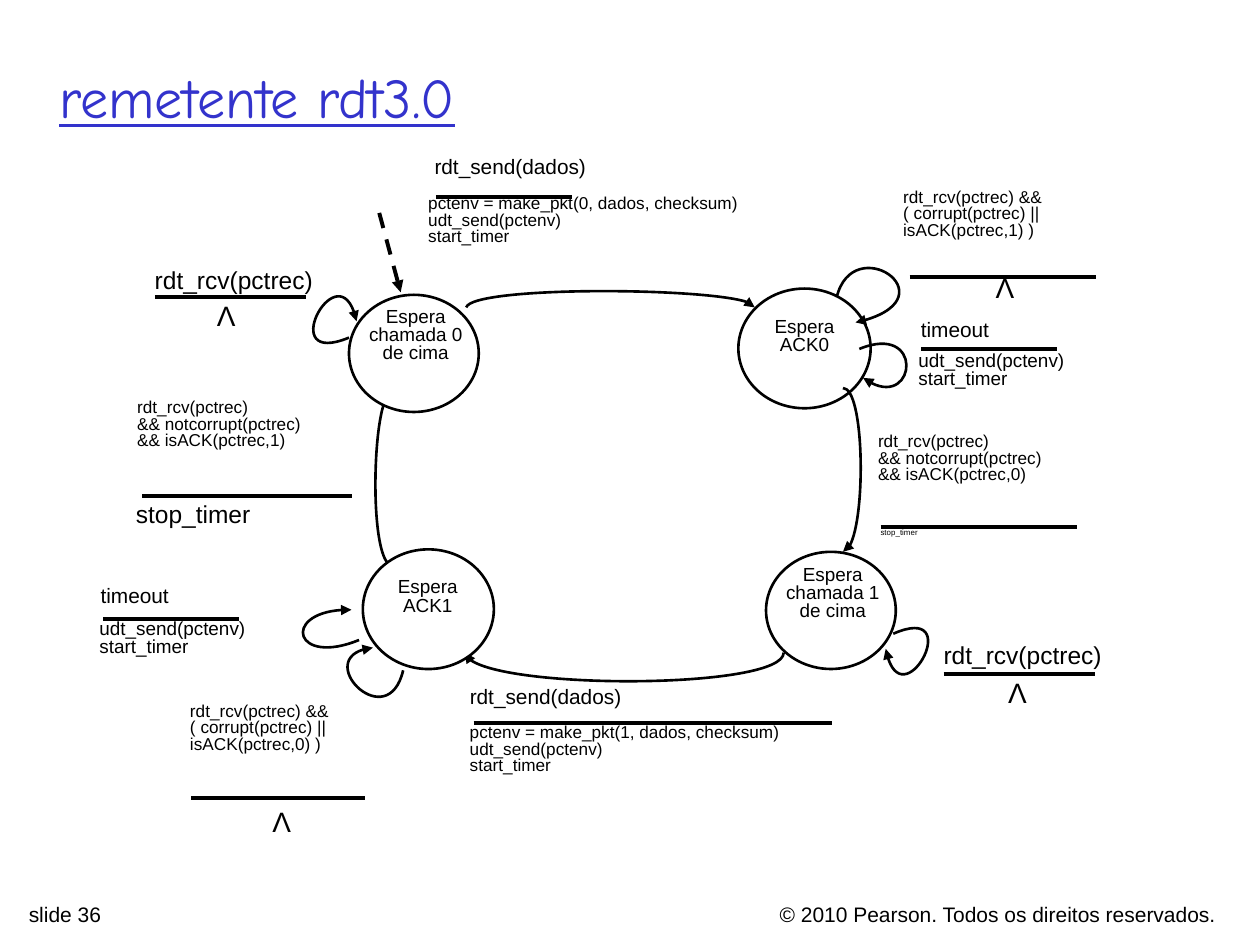
from dataclasses import dataclass

from lxml import etree
from pptx import Presentation
from pptx import util as u
from pptx.dml.color import RGBColor
from pptx.enum import dml, shapes, text
from pptx.oxml.ns import qn

EMU_PER_PX = 9144  # 100 px to the inch


@dataclass(frozen=True)
class Theme:
    font: str = "Arial"
    title_font: str = "Comic Neue"
    ink: RGBColor = RGBColor(0x00, 0x00, 0x00)
    paper: RGBColor = RGBColor(0xFF, 0xFF, 0xFF)
    title: RGBColor = RGBColor(0x33, 0x33, 0xCC)
    title_size: float = 32
    thin: float = 1.5
    thick: float = 2.25


THEME = Theme()

# Text style: size in points, line spacing
STYLES = {
    "condition": (9.8, 0.8),
    "action": (10.8, 0.8),
    "event": (11.9, 0.9),
    "large": (14, None),
    "tiny": (4.5, 0.8),
    "lambda": (16, None),
    "footer": (12, None),
}

TITLE = ("remetente rdt3.0", (37, 27, 500, 98))

# State: ellipse box, text box, text
RIGHT_STATES = [
    ((586, 229, 105, 95), (596, 248, 85, 49), "Espera\vACK0"),
    ((608, 438, 103, 93), (596, 445, 130, 67), "Espera\vchamada 1\vde cima"),
]
LEFT_STATES = [
    ((277, 234, 103, 93), (265, 240, 130, 67), "Espera\vchamada 0\vde cima"),
    ((288, 436, 104, 95), (298, 455, 83, 49), "Espera\vACK1"),
]

# Curve: start, two control points, arrow tip
TRANSITIONS = [
    [(370, 244), (375, 227), (599, 228), (599, 244)],
    [(669, 308), (686, 308), (688, 435), (669, 438)],
    [(622, 518), (622, 547), (374, 548), (369, 518)],
    [(311, 449), (294, 446), (295, 312), (311, 312)],
]
LOOPS = [
    [(664, 236), (677, 183), (759, 238), (679, 256)],
    [(682, 277), (733, 256), (727, 330), (685, 300)],
    [(709, 503), (766, 478), (715, 576), (703, 515)],
    [(320, 532), (308, 583), (244, 520), (296, 514)],
    [(285, 508), (234, 529), (222, 483), (279, 484)],
    [(277, 268), (219, 292), (270, 195), (283, 255)],
]

START_ARROW = ((301, 169), (318, 232))

# Rule between event and action: left, right, y
RULES = [
    (346, 454, 156), (722, 870, 220), (731, 839, 277), (699, 855, 418),
    (749, 869, 535), (376, 660, 574), (152, 290, 633), (82, 190, 491),
    (113, 279, 394), (123, 243, 236),
]

# Label: style, box, lines
LABELS = [
    ("event", (335, 119, 189, 31), ["rdt_send(dados)"]),
    ("condition", (330, 151, 422, 61),
     ["pctenv = make_pkt(0, dados, checksum)", "udt_send(pctenv)", "start_timer"]),
    ("condition", (707, 146, 186, 62),
     ["rdt_rcv(pctrec) &&", "( corrupt(pctrec) ||", "isACK(pctrec,1) )"]),
    ("event", (721, 249, 122, 31), ["timeout"]),
    ("action", (719, 275, 231, 47), ["udt_send(pctenv)", "start_timer"]),
    ("condition", (687, 340, 235, 62),
     ["rdt_rcv(pctrec)", "&& notcorrupt(pctrec)", "&& isACK(pctrec,0)"]),
    ("tiny", (689, 415, 166, 20), ["stop_timer"]),
    ("large", (739, 503, 156, 63), ["rdt_rcv(pctrec)"]),
    ("event", (363, 540, 189, 31), ["rdt_send(dados)"]),
    ("condition", (363, 571, 377, 60),
     ["pctenv = make_pkt(1, dados, checksum)", "udt_send(pctenv)", "start_timer"]),
    ("condition", (141, 554, 177, 62),
     ["rdt_rcv(pctrec) &&", "( corrupt(pctrec) ||", "isACK(pctrec,0) )"]),
    ("event", (70, 460, 122, 31), ["timeout"]),
    ("action", (69, 488, 199, 47), ["udt_send(pctenv)", "start_timer"]),
    ("condition", (99, 313, 209, 62),
     ["rdt_rcv(pctrec)", "&& notcorrupt(pctrec)", "&& isACK(pctrec,1)"]),
    ("large", (98, 391, 166, 44), ["stop_timer"]),
    ("large", (113, 205, 156, 62), ["rdt_rcv(pctrec)"]),
]
LAMBDAS = [(162, 232), (780, 210), (790, 531), (206, 634)]
LAMBDA_SIZE = (35, 37)

SLIDE_NUMBER = ("slide 36", (13, 711, 352, 23))
COPYRIGHT = ("© 2010 Pearson. Todos os direitos reservados.", (464, 711, 511, 24))


def px(*lengths):
    return [u.Emu(length * EMU_PER_PX) for length in lengths]


def set_line(shape, width):
    shape.line.color.rgb = THEME.ink
    shape.line.width = u.Pt(width)


def add_arrowhead(shape):
    line = shape.line._get_or_add_ln()
    etree.SubElement(line, qn("a:tailEnd"), type="triangle")


def add_label(slide, style, box, lines, align=text.PP_ALIGN.LEFT, wrap=True):
    size, spacing = STYLES[style]
    frame = slide.shapes.add_textbox(*px(*box)).text_frame
    frame.word_wrap = wrap
    frame.auto_size = text.MSO_AUTO_SIZE.NONE if wrap else text.MSO_AUTO_SIZE.SHAPE_TO_FIT_TEXT
    frame.text = "\n".join(lines)
    for paragraph in frame.paragraphs:
        paragraph.alignment = align
        if spacing:
            paragraph.line_spacing = spacing
        paragraph.font.size = u.Pt(size)
        paragraph.font.name = THEME.font
        paragraph.font.color.rgb = THEME.ink


def add_state(slide, ellipse_box, text_box, name):
    ellipse = slide.shapes.add_shape(shapes.MSO_SHAPE.OVAL, *px(*ellipse_box))
    ellipse.shadow.inherit = False
    ellipse.fill.solid()
    ellipse.fill.fore_color.rgb = THEME.paper
    set_line(ellipse, THEME.thin)
    add_label(slide, "action", text_box, [name], text.PP_ALIGN.CENTER)


def add_curve(slide, points):
    """Draw one cubic curve, by joining the three segments of a freeform."""
    start, *rest = points
    builder = slide.shapes.build_freeform(*start, scale=EMU_PER_PX)
    builder.add_line_segments(rest, close=False)
    curve = builder.convert_to_shape()
    segments = list(curve._element.iter(qn("a:lnTo")))
    outline = segments[0].getparent()
    bezier = etree.SubElement(outline, qn("a:cubicBezTo"))
    for segment in segments:
        bezier.append(segment[0])
        outline.remove(segment)
    curve.shadow.inherit = False
    curve.fill.background()
    set_line(curve, THEME.thin)
    add_arrowhead(curve)


def add_straight_line(slide, start, end):
    line = slide.shapes.add_connector(shapes.MSO_CONNECTOR.STRAIGHT, *px(*start, *end))
    set_line(line, THEME.thick)
    etree.SubElement(line._element.spPr, qn("a:effectLst"))
    return line


def add_title(slide, wording, box):
    title = slide.shapes.title
    title.left, title.top, title.width, title.height = px(*box)
    frame = title.text_frame
    frame.text = wording
    frame.auto_size = text.MSO_AUTO_SIZE.NONE
    frame.vertical_anchor = text.MSO_ANCHOR.MIDDLE
    paragraph = frame.paragraphs[0]
    paragraph.alignment = text.PP_ALIGN.LEFT
    paragraph.font.name = THEME.title_font
    paragraph.font.size = u.Pt(THEME.title_size)
    paragraph.font.color.rgb = THEME.title
    paragraph.font.underline = True


def main():
    presentation = Presentation()
    presentation.slide_width, presentation.slide_height = px(1000, 750)
    slide = presentation.slides.add_slide(presentation.slide_layouts[5])
    add_title(slide, *TITLE)

    for state in RIGHT_STATES:
        add_state(slide, *state)
    for points in TRANSITIONS:
        add_curve(slide, points)
    for state in LEFT_STATES:
        add_state(slide, *state)
    for points in LOOPS:
        add_curve(slide, points)

    start_arrow = add_straight_line(slide, *START_ARROW)
    start_arrow.line.dash_style = dml.MSO_LINE.DASH
    add_arrowhead(start_arrow)
    for left, right, y in RULES:
        add_straight_line(slide, (left, y), (right, y))

    for label in LABELS:
        add_label(slide, *label)
    for corner in LAMBDAS:
        add_label(slide, "lambda", corner + LAMBDA_SIZE, ["Λ"], text.PP_ALIGN.CENTER, wrap=False)
    for (wording, box), align in ((SLIDE_NUMBER, text.PP_ALIGN.LEFT),
                                  (COPYRIGHT, text.PP_ALIGN.RIGHT)):
        add_label(slide, "footer", box, [wording], align)

    presentation.save("out.pptx")


if __name__ == "__main__":
    main()
